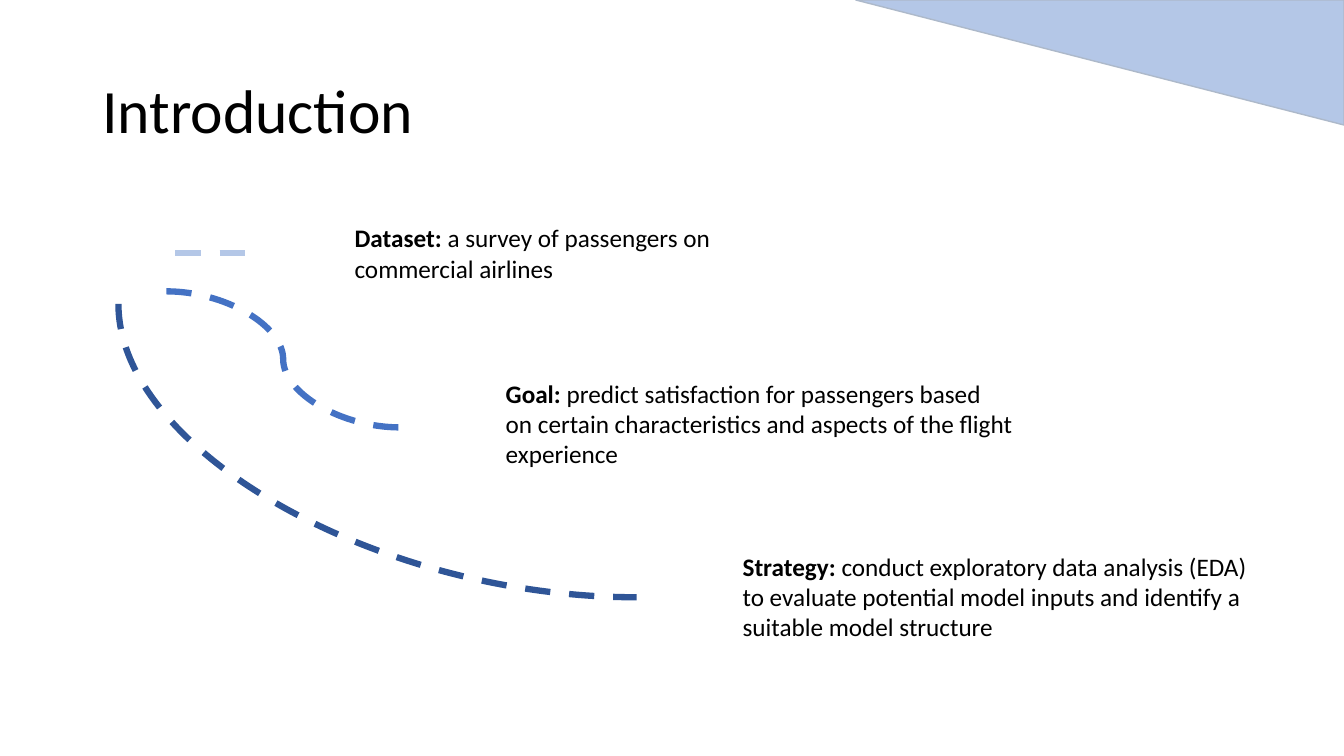
from lxml.etree import SubElement
from pptx import Presentation
from pptx.dml.color import RGBColor
from pptx.enum.dml import MSO_LINE
from pptx.enum.shapes import MSO_CONNECTOR, MSO_SHAPE
from pptx.enum.text import MSO_ANCHOR, MSO_AUTO_SIZE, PP_ALIGN
from pptx.oxml.ns import qn
from pptx.util import Pt

COLORS = {
    "text": "000000",
    "light": "B4C7E7",
    "medium": "4472C4",
    "dark": "2F5597",
    "outline": "ADB9CA",
}

TOPICS = [
    ("Dataset: ", "a survey of passengers on commercial airlines",
     (246.2, 155.5, 316, 51)),
    ("Goal: ", "predict satisfaction for passengers based on certain "
     "characteristics and aspects of the flight experience",
     (354.2, 266.4, 376.6, 72.7)),
    ("Strategy: ", "conduct exploratory data analysis (EDA) to evaluate "
     "potential model inputs and identify a suitable model structure",
     (523.4, 390.2, 376.6, 72.7)),
]


def rgb(name):
    return RGBColor.from_string(COLORS[name])


def add_run(p, text, size=18, bold=False, color="text", font="Calibri"):
    r = p.add_run()
    r.text = text
    r.font.size = Pt(size)
    r.font.bold = bold
    r.font.name = font
    r.font.color.rgb = rgb(color)


def add_title(s, text):
    sp = s.shapes.title
    sp.left, sp.top, sp.width, sp.height = map(Pt, (66, 28.8, 828, 104.4))
    sp.text_frame.vertical_anchor = MSO_ANCHOR.MIDDLE
    p = sp.text_frame.paragraphs[0]
    p.alignment = PP_ALIGN.LEFT
    p.line_spacing = 0.9
    add_run(p, text, size=44)


def add_topic(s, label, text, box):
    tf = s.shapes.add_textbox(*map(Pt, box)).text_frame
    tf.word_wrap = True
    tf.auto_size = MSO_AUTO_SIZE.SHAPE_TO_FIT_TEXT
    p = tf.paragraphs[0]
    add_run(p, label, bold=True)
    add_run(p, text)


def add_dashes(s, kind, ends, color):
    c = s.shapes.add_connector(kind, *map(Pt, ends))
    c.line.color.rgb = rgb(color)
    c.line.width = Pt(4.5)
    c.line.dash_style = MSO_LINE.DASH
    SubElement(c._element.spPr, qn("a:effectLst"))
    return c


def add_quarter_curve(s, ends, color):
    c = add_dashes(s, MSO_CONNECTOR.CURVE, ends, color)
    spPr = c._element.spPr
    spPr.find(qn("a:prstGeom")).set("prst", "curvedConnector2")
    spPr.find(qn("a:xfrm")).set("rot", str(270 * 60000))


def add_corner(s, box):
    sp = s.shapes.add_shape(MSO_SHAPE.ISOSCELES_TRIANGLE, *map(Pt, box))
    sp.adjustments[0] = 0
    sp.rotation = 180
    sp.shadow.inherit = False
    sp.fill.solid()
    sp.fill.fore_color.rgb = rgb("light")
    sp.line.color.rgb = rgb("outline")
    sp.line.width = Pt(1)


def main():
    prs = Presentation()
    prs.slide_width, prs.slide_height = Pt(960), Pt(540)
    s = prs.slides.add_slide(prs.slide_layouts[5])
    add_title(s, "Introduction")
    for label, text, box in TOPICS:
        add_topic(s, label, text, box)
    add_quarter_curve(s, (374.4, 136.8, 164.9, 506.9), "dark")
    add_dashes(s, MSO_CONNECTOR.CURVE, (118.8, 208.1, 285.8, 305.3), "medium")
    add_dashes(s, MSO_CONNECTOR.STRAIGHT, (125.3, 180.9, 177.1, 180.9), "light")
    add_corner(s, (611.3, 0, 348.7, 89.3))
    prs.save("out.pptx")


if __name__ == "__main__":
    main()
